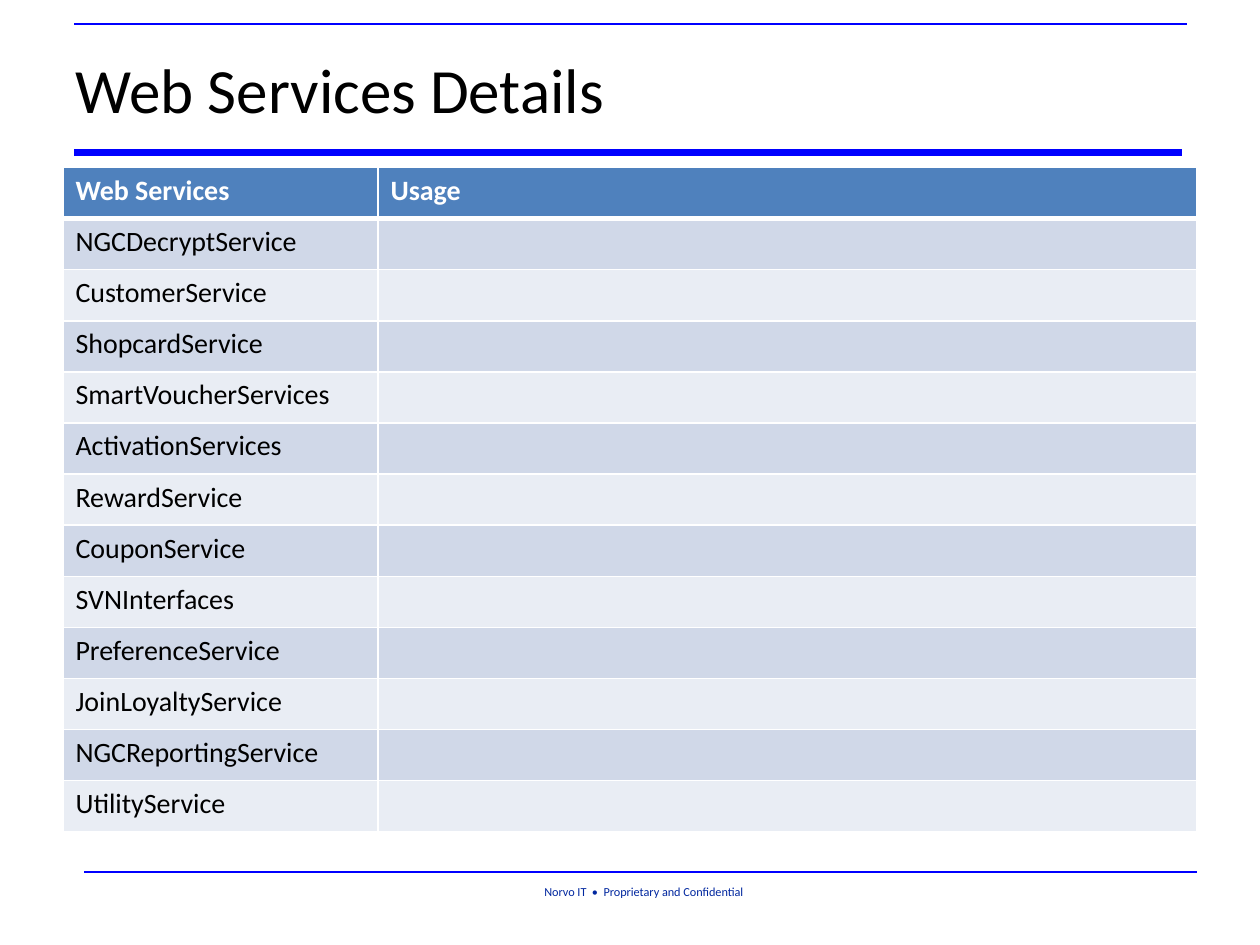
from lxml import etree
from pptx import Presentation
from pptx import util as u
from pptx.dml.color import RGBColor
from pptx.enum import shapes, text
from pptx.oxml.ns import qn

COLORS = {"rule": "0000FF", "footer": "00279F", "ink": "000000", "white": "FFFFFF",
          "head": "4F81BD", "odd": "D0D8E8", "even": "E9EDF4"}
FONT = "Calibri"
SERVICES = ["NGCDecryptService", "CustomerService", "ShopcardService",
            "SmartVoucherServices", "ActivationServices", "RewardService",
            "CouponService", "SVNInterfaces", "PreferenceService",
            "JoinLoyaltyService", "NGCReportingService", "UtilityService"]


def rgb(name):
    """Return a named colour."""
    return RGBColor.from_string(COLORS[name])


def write(tf, words, size=16, color="ink", bold=False):
    """Write one left-aligned formatted paragraph into a text frame."""
    p = tf.paragraphs[0]
    p.alignment = text.PP_ALIGN.LEFT
    r = p.add_run()
    r.text = words
    r.font.name, r.font.size, r.font.bold = FONT, u.Pt(size), bold
    r.font.color.rgb = rgb(color)


def rule(s, x, y, width, weight):
    """Draw a horizontal rule."""
    line = s.shapes.add_connector(shapes.MSO_CONNECTOR.STRAIGHT, u.Inches(x),
                                  u.Inches(y), u.Inches(x + width), u.Inches(y))
    line.line.color.rgb = rgb("rule")
    line.line.width = u.Pt(weight)
    etree.SubElement(line._element.spPr, qn("a:effectLst"))


def header(s, x, y, width):
    """Place the title between a thin rule and a thick one."""
    rule(s, x, y, width, 1)
    rule(s, x, y + 1.02, width - 0.04, 4)
    title = s.shapes.title
    title.left, title.top = u.Inches(x - 0.09), u.Inches(y + 0.14)
    title.width, title.height = u.Inches(7.17), u.Inches(0.75)
    title.text_frame.vertical_anchor = text.MSO_ANCHOR.MIDDLE
    write(title.text_frame, "Web Services Details", size=36)


def footer(s, x, y, width):
    """Place the bottom rule and the notice under it."""
    rule(s, x, y, width, 1)
    sp = s.shapes.add_textbox(u.Inches(x + 3.65), u.Inches(y + 0.1),
                              u.Inches(1.73), u.Inches(0.1))
    tf = sp.text_frame
    tf.margin_left = tf.margin_right = tf.margin_top = tf.margin_bottom = 0
    tf.word_wrap = True
    write(tf, "Norvo IT  •  Proprietary and Confidential", size=7, color="footer")


def style_cell(cell, fill, bottom):
    """Give a cell its fill and white borders."""
    tc_pr = cell._tc.get_or_add_tcPr()
    for side, weight in (("L", 1), ("R", 1), ("T", 1), ("B", bottom)):
        ln = etree.SubElement(tc_pr, qn("a:ln" + side), w=str(u.Pt(weight)))
        solid = etree.SubElement(ln, qn("a:solidFill"))
        etree.SubElement(solid, qn("a:srgbClr"), val=COLORS["white"])
    cell.fill.solid()
    cell.fill.fore_color.rgb = rgb(fill)


def service_table(s, x, y, width, height):
    """Build the banded table of services, with the usage column open."""
    rows = [("Web Services", "Usage")] + [(name, "") for name in SERVICES]
    table = s.shapes.add_table(len(rows), 2, u.Inches(x), u.Inches(y),
                               u.Inches(width), u.Inches(height)).table
    for column, share in zip(table.columns, (2.5 / 9, 6.5 / 9)):
        column.width = u.Inches(width * share)
    for i, row in enumerate(rows):
        is_head = i == 0
        fill = "head" if is_head else ("even", "odd")[i % 2]
        for j, words in enumerate(row):
            cell = table.cell(i, j)
            style_cell(cell, fill, 3 if is_head else 1)
            if words:
                write(cell.text_frame, words, bold=is_head,
                      color="white" if is_head else "ink")


def main():
    """Build the slide and save it."""
    prs = Presentation()
    prs.slide_width, prs.slide_height = u.Inches(10), u.Inches(7.5)
    s = prs.slides.add_slide(prs.slide_layouts[5])
    header(s, 0.59, 0.19, 8.83)
    service_table(s, 0.5, 1.33, 9, 5.27)
    footer(s, 0.67, 6.92, 8.83)
    prs.save("out.pptx")


main()
